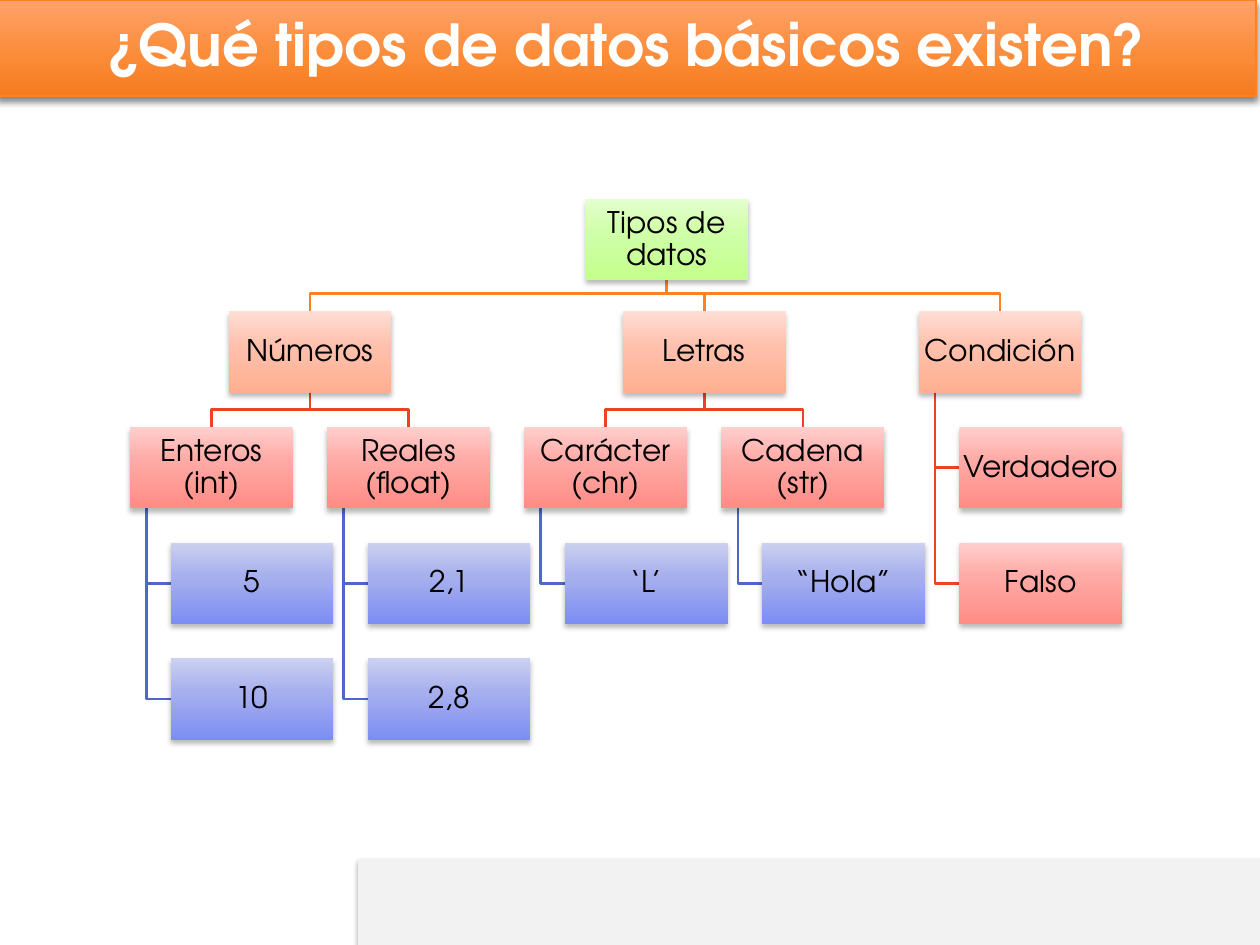
from dataclasses import dataclass, field

import lxml.etree
import pptx
import pptx.dml.color
import pptx.enum.shapes
import pptx.enum.text
import pptx.oxml.ns
import pptx.util

Cm, Pt = pptx.util.Cm, pptx.util.Pt
qn = pptx.oxml.ns.qn
FONT = "TeX Gyre Adventor"

# Tree grid, in centimetres
LEFT, PITCH = 2.62, 3.975
ROW_TOPS = [4.01, 6.28, 8.61, 10.94, 13.27]
BOX_W, BOX_H = 3.28, 1.64
STEM, INDENT, BUS_GAP = 0.33, 0.82, 0.36

# Per level: gradient from top to bottom, and colour of the line from the parent
GRADIENTS = [
    ("E4FFCE", "CFFFA8", "C4FF8C"),
    ("FFDED4", "FFC1AD", "FFAF90"),
    ("FFCFCD", "FFAAA6", "FF8C85"),
    ("CCD0F1", "A7B0EE", "7C8EF3"),
]
LINES = ["", "FF8021", "F14124", "4E67C8"]


@dataclass
class Shadow:
    alpha: int
    blur: float
    dist: float


@dataclass
class Node:
    text: str
    col: float
    children: list["Node"] = field(default_factory=list)
    hanging: list[str] = field(default_factory=list)


def rgb(value: str) -> pptx.dml.color.RGBColor:
    return pptx.dml.color.RGBColor.from_string(value)


def add_shadow(sp, shadow: Shadow) -> None:
    sp.shadow.inherit = False
    effects = sp._element.spPr.find(qn("a:effectLst"))
    outer = lxml.etree.SubElement(
        effects, qn("a:outerShdw"), blurRad=str(Pt(shadow.blur)),
        dist=str(Pt(shadow.dist)), dir="5400000", algn="ctr", rotWithShape="0")
    color = lxml.etree.SubElement(outer, qn("a:srgbClr"), val="000000")
    lxml.etree.SubElement(color, qn("a:alpha"), val=str(shadow.alpha * 1000))


def fill_gradient(sp, colors: tuple[str, ...], middle: int) -> None:
    sp.fill.gradient()
    sp.fill.gradient_angle = 270
    stops = sp._element.spPr.find(qn("a:gradFill")).find(qn("a:gsLst"))
    for stop in list(stops):
        stops.remove(stop)
    for pos, value in zip((0, middle, 100), colors):
        stop = lxml.etree.SubElement(stops, qn("a:gs"), pos=str(pos * 1000))
        lxml.etree.SubElement(stop, qn("a:srgbClr"), val=value)


def add_rect(s, x: float, y: float, w: float, h: float, shadow: Shadow):
    sp = s.shapes.add_shape(pptx.enum.shapes.MSO_SHAPE.RECTANGLE,
                            Cm(x), Cm(y), Cm(w), Cm(h))
    sp.line.fill.background()
    add_shadow(sp, shadow)
    return sp


def set_text(sp, text: str, size: float, color: str, bold: bool,
             spacing: float, margin: float) -> None:
    tf = sp.text_frame
    tf.text = text
    tf.word_wrap = True
    tf.vertical_anchor = pptx.enum.text.MSO_ANCHOR.MIDDLE
    tf.margin_left = tf.margin_right = Cm(margin)
    tf.margin_top = tf.margin_bottom = Cm(min(margin, 0.13))
    p = tf.paragraphs[0]
    p.alignment = pptx.enum.text.PP_ALIGN.CENTER
    p.line_spacing = spacing
    r = p.runs[0]
    r.font.name, r.font.size, r.font.bold = FONT, Pt(size), bold
    r.font.color.rgb = rgb(color)


def add_path(s, points: list[tuple[float, float]], color: str) -> None:
    start, *rest = [(Cm(x), Cm(y)) for x, y in points]
    builder = s.shapes.build_freeform(*start)
    builder.add_line_segments(rest, close=False)
    sp = builder.convert_to_shape()
    sp.fill.background()
    sp.line.color.rgb = rgb(color)
    sp.line.width = Pt(1.5)
    sp.shadow.inherit = False


def node_left(node: Node) -> float:
    return LEFT + node.col * PITCH


def draw_lines(s, node: Node, level: int = 0) -> None:
    x, bottom = node_left(node), ROW_TOPS[level] + BOX_H
    for child in node.children:
        top = ROW_TOPS[level + 1]
        start, end = x + BOX_W / 2, node_left(child) + BOX_W / 2
        bus = top - BUS_GAP
        add_path(s, [(start, bottom), (start, bus), (end, bus), (end, top)],
                 LINES[level + 1])
        draw_lines(s, child, level + 1)
    for top in ROW_TOPS[level + 1:][:len(node.hanging)]:
        middle = top + BOX_H / 2
        add_path(s, [(x + STEM, bottom), (x + STEM, middle), (x + INDENT, middle)],
                 LINES[level + 1])


def draw_box(s, text: str, x: float, y: float, level: int) -> None:
    sp = add_rect(s, x, y, BOX_W, BOX_H, Shadow(28, 3, 2))
    fill_gradient(sp, GRADIENTS[level], 41)
    set_text(sp, text, 17, "000000", False, 0.9, 0.03)


def draw_boxes(s, node: Node, level: int = 0) -> None:
    draw_box(s, node.text, node_left(node), ROW_TOPS[level], level)
    for child in node.children:
        draw_boxes(s, child, level + 1)
    for text, top in zip(node.hanging, ROW_TOPS[level + 1:]):
        draw_box(s, text, node_left(node) + INDENT, top, level + 1)


TREE = Node("Tipos de datos", 2.31, [
    Node("Números", 0.5, [
        Node("Enteros (int)", 0, hanging=["5", "10"]),
        Node("Reales (float)", 1, hanging=["2,1", "2,8"]),
    ]),
    Node("Letras", 2.5, [
        Node("Carácter (chr)", 2, hanging=["‘L’"]),
        Node("Cadena (str)", 3, hanging=["“Hola”"]),
    ]),
    Node("Condición", 4, hanging=["Verdadero", "Falso"]),
])


def main() -> None:
    prs = pptx.Presentation()
    prs.slide_width, prs.slide_height = Cm(25.4), Cm(19.05)
    s = prs.slides.add_slide(prs.slide_layouts[6])

    # Footer band
    sp = add_rect(s, 7.22, 17.32, 18.49, 1.93, Shadow(38, 3.1, 1.6))
    sp.fill.solid()
    sp.fill.fore_color.rgb = rgb("F2F2F2")

    # Title band
    sp = add_rect(s, -0.08, 0, 25.4, 1.93, Shadow(47, 4, 2.5))
    fill_gradient(sp, ("FFA26A", "FB8B37", "F57B20"), 60)
    sp.line.color.rgb = rgb("FF8021")
    sp.line.width = Pt(1)
    title = s.shapes.add_textbox(Cm(1.19), 0, Cm(22.86), Cm(2.01))
    set_text(title, "¿Qué tipos de datos básicos existen?", 33, "FFFFFF",
             True, 0.8, 0.25)

    # Tree of data types, lines behind boxes
    draw_lines(s, TREE)
    draw_boxes(s, TREE)

    prs.save("out.pptx")


if __name__ == "__main__":
    main()
